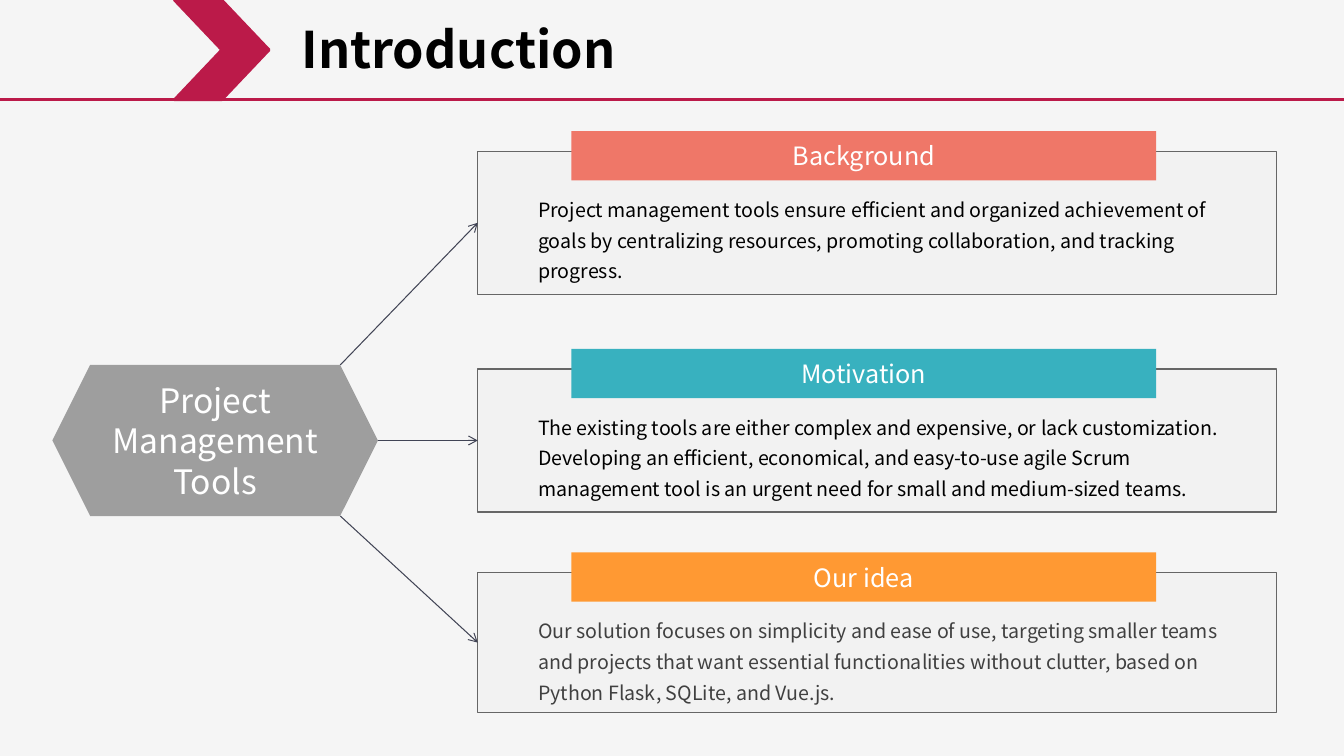
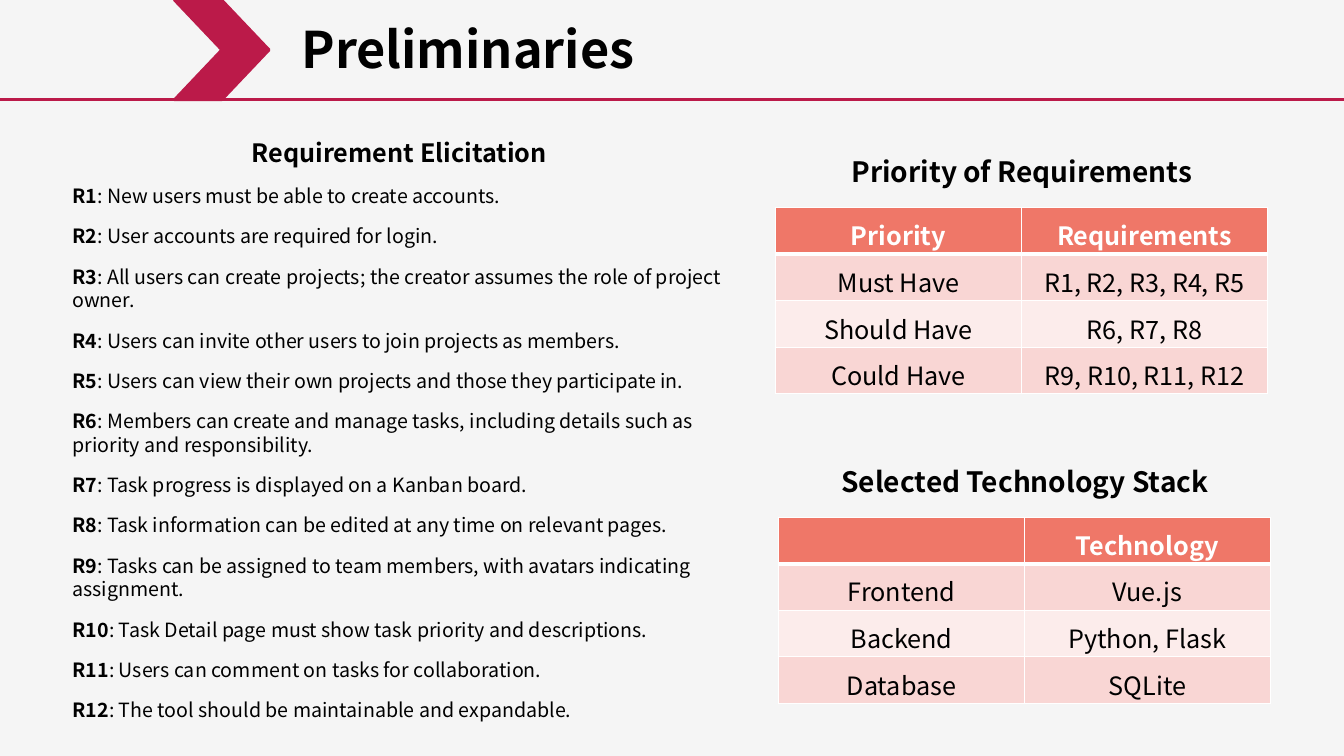
from dataclasses import dataclass

from lxml import etree
from pptx import Presentation
from pptx.dml.color import RGBColor
from pptx.enum.shapes import MSO_CONNECTOR, MSO_SHAPE
from pptx.enum.text import MSO_ANCHOR, MSO_AUTO_SIZE, PP_ALIGN
from pptx.oxml.ns import qn
from pptx.util import Emu, Inches, Pt

LEFT, CENTER = PP_ALIGN.LEFT, PP_ALIGN.CENTER
TOP, MIDDLE = MSO_ANCHOR.TOP, MSO_ANCHOR.MIDDLE
RECTANGLE, HEXAGON, CHEVRON = MSO_SHAPE.RECTANGLE, MSO_SHAPE.HEXAGON, MSO_SHAPE.CHEVRON
STRAIGHT = MSO_CONNECTOR.STRAIGHT
NO_AUTOFIT = MSO_AUTO_SIZE.NONE

FONT = "Noto Sans CJK SC"
PAPER = RGBColor(0xF5, 0xF5, 0xF5)
CRIMSON = RGBColor(0xBB, 0x1A, 0x49)
BLACK = RGBColor(0x00, 0x00, 0x00)
WHITE = RGBColor(0xFF, 0xFF, 0xFF)
CHARCOAL = RGBColor(0x40, 0x40, 0x40)
CARD_FILL = RGBColor(0xF2, 0xF2, 0xF2)
CARD_LINE = RGBColor(0x66, 0x66, 0x66)
HUB_GRAY = RGBColor(0x9E, 0x9E, 0x9E)
ARROW_SLATE = RGBColor(0x41, 0x44, 0x55)
CORAL = RGBColor(0xEF, 0x77, 0x68)
TEAL = RGBColor(0x38, 0xB1, 0xBF)
ORANGE = RGBColor(0xFF, 0x99, 0x33)
ROSE = RGBColor(0xF9, 0xD6, 0xD4)
PALE_ROSE = RGBColor(0xFC, 0xEC, 0xEB)

SLIDE_WIDTH, SLIDE_HEIGHT = Inches(13.33), Inches(7.5)
GRID_COLUMNS, GRID_ROWS = 40, 30
TITLE_ONLY = 5
HEADER_ROW = 3.96


@dataclass(frozen=True)
class Area:
    column: float
    row: float
    columns: float
    rows: float

    def emu(self) -> tuple[Emu, Emu, Emu, Emu]:
        return across(self.column), down(self.row), across(self.columns), down(self.rows)


@dataclass(frozen=True)
class Style:
    size: float
    color: RGBColor = BLACK
    bold: bool = False
    align: PP_ALIGN = LEFT
    spacing: float = 1.0
    after: float = 0


@dataclass(frozen=True)
class Card:
    heading: str
    body: str
    row: float
    rows: float
    accent: RGBColor
    ink: RGBColor = BLACK


@dataclass(frozen=True)
class Grid:
    heading: str
    column: float
    row: float
    cells: tuple[tuple[str, str], ...]


TITLE = Style(36, bold=True)
HUB = Style(24, WHITE, align=CENTER)
BAND = Style(18, WHITE, align=CENTER)
LIST_HEADING = Style(18, bold=True, align=CENTER, after=12)
LIST_ITEM = Style(14, after=12)
TABLE_HEADING = Style(20, bold=True, align=CENTER, spacing=1.5)
TABLE_HEADER = Style(18, WHITE, True, CENTER)
TABLE_BODY = Style(18, align=CENTER)

CARDS = (
    Card("Background",
         "Project management tools ensure efficient and organized achievement of goals by "
         "centralizing resources, promoting collaboration, and tracking progress.",
         6, 5.68, CORAL),
    Card("Motivation",
         "The existing tools are either complex and expensive, or lack customization. "
         "Developing an efficient, economical, and easy-to-use agile Scrum management tool "
         "is an urgent need for small and medium-sized teams.",
         14.64, 5.68, TEAL),
    Card("Our idea",
         "Our solution focuses on simplicity and ease of use, targeting smaller teams and "
         "projects that want essential functionalities without clutter, based on "
         "Python Flask, SQLite, and Vue.js.",
         22.72, 5.56, ORANGE, CHARCOAL),
)
CARD_COLUMN = 14.22
HUB_AREA = Area(1.56, 14.48, 9.69, 6)

REQUIREMENTS = (
    "New users must be able to create accounts.",
    "User accounts are required for login.",
    "All users can create projects; the creator assumes the role of project owner.",
    "Users can invite other users to join projects as members.",
    "Users can view their own projects and those they participate in.",
    "Members can create and manage tasks, including details such as priority and responsibility.",
    "Task progress is displayed on a Kanban board.",
    "Task information can be edited at any time on relevant pages.",
    "Tasks can be assigned to team members, with avatars indicating assignment.",
    "Task Detail page must show task priority and descriptions.",
    "Users can comment on tasks for collaboration.",
    "The tool should be maintainable and expandable.",
)
GRIDS = (
    Grid("Priority of Requirements", 23.08, 8.24, (
        ("Priority", "Requirements"),
        ("Must Have", "R1, R2, R3, R4, R5"),
        ("Should Have", "R6, R7, R8"),
        ("Could Have", "R9, R10, R11, R12"),
    )),
    Grid("Selected Technology Stack", 23.17, 20.52, (
        ("", "Technology"),
        ("Frontend", "Vue.js"),
        ("Backend", "Python, Flask"),
        ("Database", "SQLite"),
    )),
)


def across(columns: float) -> Emu:
    return Emu(round(SLIDE_WIDTH * columns / GRID_COLUMNS))


def down(rows: float) -> Emu:
    return Emu(round(SLIDE_HEIGHT * rows / GRID_ROWS))


def add_span(para, text: str, style: Style, bold: bool) -> None:
    span = para.add_run()
    span.text = text
    span.font.name = FONT
    span.font.size = Pt(style.size)
    span.font.bold = bold
    span.font.color.rgb = style.color


def format_para(para, style: Style) -> None:
    para.alignment = style.align
    para.line_spacing = style.spacing
    para.space_before = Pt(0)
    para.space_after = Pt(style.after)


def write(frame, text: str, style: Style, anchor: MSO_ANCHOR = TOP) -> None:
    frame.word_wrap = True
    frame.auto_size = NO_AUTOFIT
    frame.vertical_anchor = anchor
    format_para(frame.paragraphs[0], style)
    add_span(frame.paragraphs[0], text, style, style.bold)


def add_text(page, area: Area, text: str, style: Style):
    box = page.shapes.add_textbox(*area.emu())
    write(box.text_frame, text, style)
    return box


def add_block(page, kind: MSO_SHAPE, area: Area, fill: RGBColor,
              outline: RGBColor | None = None, weight: float = 1):
    block = page.shapes.add_shape(kind, *area.emu())
    block.shadow.inherit = False
    block.fill.solid()
    block.fill.fore_color.rgb = fill
    if outline is None:
        block.line.fill.background()
    else:
        block.line.color.rgb = outline
        block.line.width = Pt(weight)
    return block


def add_line(page, start: tuple[float, float], end: tuple[float, float],
             color: RGBColor, weight: float, arrow: bool = False) -> None:
    line = page.shapes.add_connector(
        STRAIGHT, across(start[0]), down(start[1]), across(end[0]), down(end[1]))
    line.line.color.rgb = color
    line.line.width = Pt(weight)
    if arrow:
        etree.SubElement(line.line._get_or_add_ln(), qn("a:tailEnd"), type="arrow")
    etree.SubElement(line._element.spPr, qn("a:effectLst"))


def add_page(deck, title: str):
    page = deck.slides.add_slide(deck.slide_layouts[TITLE_ONLY])
    add_line(page, (0, HEADER_ROW), (GRID_COLUMNS, HEADER_ROW), CRIMSON, 2.25)
    add_block(page, CHEVRON, Area(5.19, 0, 2.82, HEADER_ROW), CRIMSON, CRIMSON, 2)
    heading = page.shapes.title
    heading.left, heading.top, heading.width, heading.height = Area(8.67, 0.52, 20.05, 2.84).emu()
    write(heading.text_frame, title, TITLE)
    return page


def add_card(page, card: Card) -> None:
    add_block(page, RECTANGLE, Area(CARD_COLUMN, card.row, 23.77, card.rows), CARD_FILL, CARD_LINE)
    band = add_block(page, RECTANGLE, Area(17.01, card.row - 0.8, 17.4, 1.96), card.accent)
    write(band.text_frame, card.heading, BAND, MIDDLE)
    add_text(page, Area(15.72, card.row + 1.38, 21.4, 3.96), card.body,
             Style(14, card.ink, spacing=1.3))


def add_borders(cell, weights: dict[str, float]) -> None:
    properties = cell._tc.get_or_add_tcPr()
    for position, (side, weight) in enumerate(weights.items()):
        border = etree.Element(qn(f"a:{side}"), w=str(Pt(weight)))
        fill = etree.SubElement(border, qn("a:solidFill"))
        etree.SubElement(fill, qn("a:srgbClr"), val=str(WHITE))
        properties.insert(position, border)


def add_grid(page, grid: Grid) -> None:
    add_text(page, Area(grid.column + 0.84, grid.row - 2.96, 12.99, 2.2),
             grid.heading, TABLE_HEADING)
    area = Area(grid.column, grid.row, 14.64, 6.48)
    table = page.shapes.add_table(len(grid.cells), len(grid.cells[0]), *area.emu()).table
    table.horz_banding = False
    for column in table.columns:
        column.width = across(area.columns / len(grid.cells[0]))
    for index, texts in enumerate(grid.cells):
        header = index == 0
        table.rows[index].height = down(1.6 if header else 1.63)
        for cell, text in zip(table.rows[index].cells, texts):
            cell.margin_top, cell.margin_bottom = down(0.36), down(0.04)
            cell.fill.solid()
            cell.fill.fore_color.rgb = CORAL if header else (PALE_ROSE, ROSE)[index % 2]
            add_borders(cell, {"lnL": 1, "lnR": 1, "lnT": 3 if index == 1 else 1,
                               "lnB": 3 if header else 1})
            if text:
                style = TABLE_HEADER if header else TABLE_BODY
                para = cell.text_frame.paragraphs[0]
                format_para(para, style)
                add_span(para, text, style, style.bold)


def build_introduction(deck) -> None:
    page = add_page(deck, "Introduction")
    hub = add_block(page, HEXAGON, HUB_AREA, HUB_GRAY)
    write(hub.text_frame, "Project Management Tools", HUB, MIDDLE)
    right = HUB_AREA.column + HUB_AREA.columns
    corner = right - 1.12
    starts = (
        (corner, HUB_AREA.row),
        (right, HUB_AREA.row + HUB_AREA.rows / 2),
        (corner, HUB_AREA.row + HUB_AREA.rows),
    )
    for card, start in zip(CARDS, starts):
        add_card(page, card)
        add_line(page, start, (CARD_COLUMN, card.row + card.rows / 2), ARROW_SLATE, 0.75, True)


def build_preliminaries(deck) -> None:
    page = add_page(deck, "Preliminaries")
    box = add_text(page, Area(1.86, 5.24, 20.05, 23.68), "Requirement Elicitation", LIST_HEADING)
    for number, text in enumerate(REQUIREMENTS, 1):
        para = box.text_frame.add_paragraph()
        format_para(para, LIST_ITEM)
        add_span(para, f"R{number}", LIST_ITEM, True)
        add_span(para, f": {text}", LIST_ITEM, False)
    for grid in GRIDS:
        add_grid(page, grid)


def main() -> None:
    deck = Presentation()
    deck.slide_width, deck.slide_height = SLIDE_WIDTH, SLIDE_HEIGHT
    background = deck.slide_master.background.fill
    background.solid()
    background.fore_color.rgb = PAPER
    build_introduction(deck)
    build_preliminaries(deck)
    deck.save("out.pptx")


if __name__ == "__main__":
    main()
